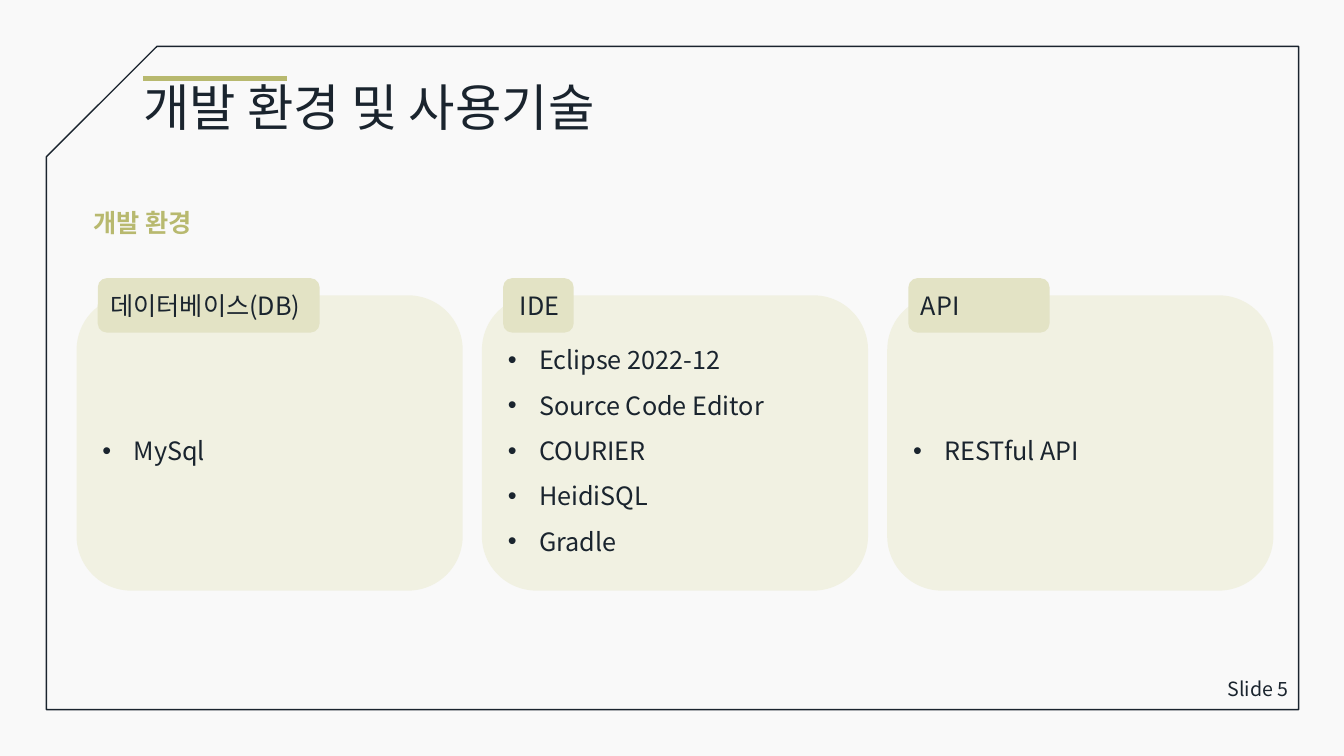
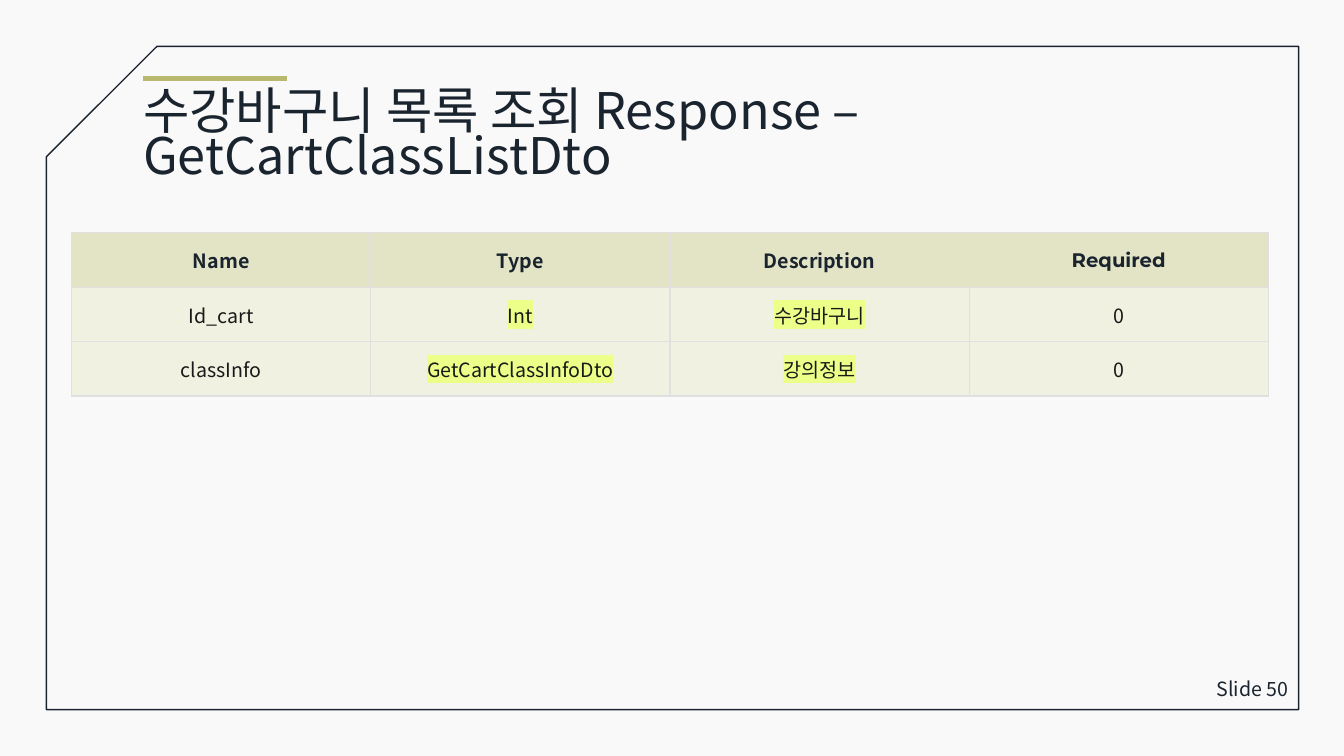
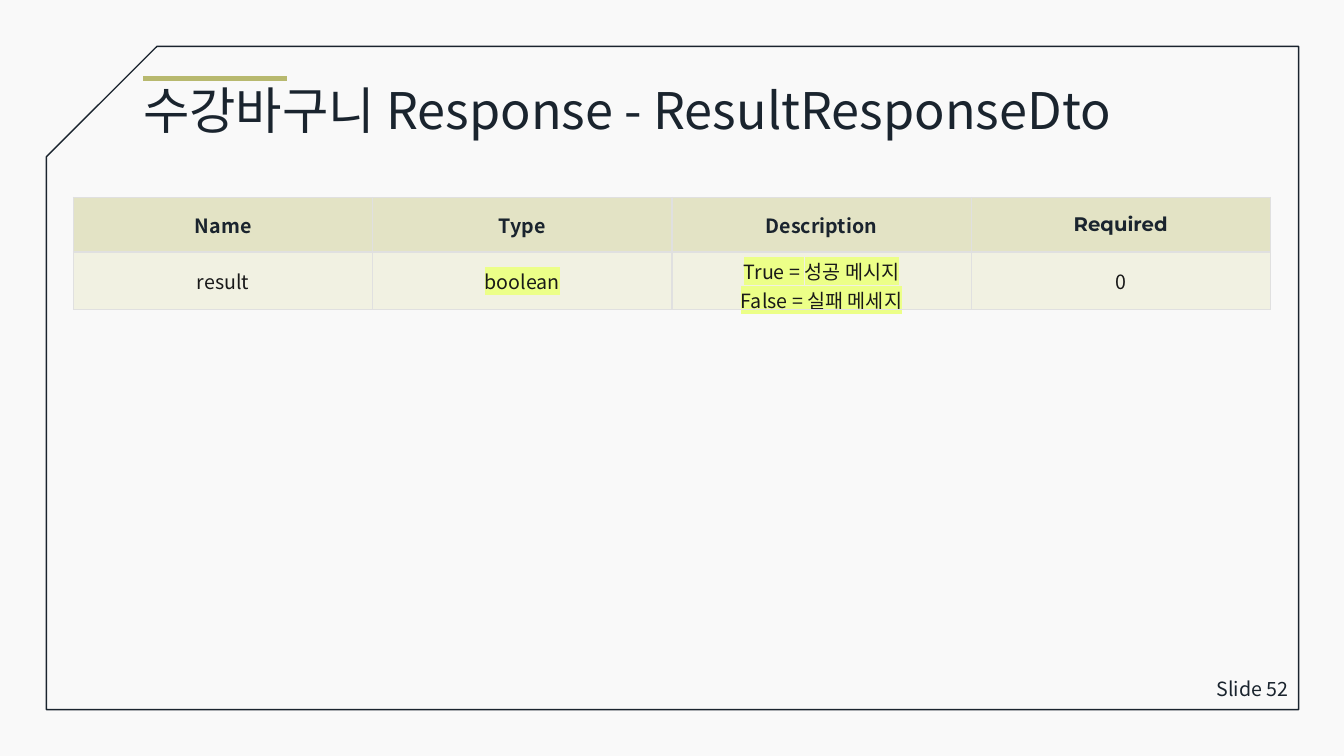
from lxml import etree
from pptx import Presentation
from pptx import util as u
from pptx.dml.color import RGBColor
from pptx.enum import shapes, text
from pptx.oxml.ns import qn

WIDTH, HEIGHT = 13.33, 7.5
FONT, HEADER_ACCENT_FONT = "Noto Sans CJK KR", "Montserrat"
PAPER, INK, BODY_INK = "F9F9F9", "1A242E", "191919"
OLIVE, TAB, PANEL = "B8B96F", "E3E3C5", "F1F1E2"
GRID, MARKER = "E0E0E0", "ECFF88"
COLUMNS = ("Name", "Type", "Description", "Required")


def color(value):
    return RGBColor.from_string(value)


def inches(*lengths):
    return [u.Inches(length) for length in lengths]


def add_child(parent, tag, **attributes):
    return etree.SubElement(parent, qn(tag), attributes)


def format_runs(paragraph, size, ink=INK, bold=False, font=FONT, highlight=None):
    for run in paragraph.runs:
        run.font.size = u.Pt(size)
        run.font.bold = bold
        run.font.color.rgb = color(ink)
        run.font.name = font
        latin = run.font._element.find(qn("a:latin"))
        east_asian = etree.Element(qn("a:ea"), typeface=font)
        latin.addnext(east_asian)
        if highlight:
            marker = etree.Element(qn("a:highlight"))
            add_child(marker, "a:srgbClr", val=highlight)
            latin.addprevious(marker)


def add_panel(slide, kind, box, fill=None):
    """Add a preset shape without shadow or outline."""
    shape = slide.shapes.add_shape(kind, *inches(*box))
    shape.shadow.inherit = False
    shape.line.fill.background()
    if fill:
        shape.fill.solid()
        shape.fill.fore_color.rgb = color(fill)
    else:
        shape.fill.background()
    return shape


def add_label(slide, box, words, size, ink=INK, bold=False,
              align=text.PP_ALIGN.LEFT):
    label = slide.shapes.add_textbox(*inches(*box))
    frame = label.text_frame
    frame.word_wrap = True
    frame.vertical_anchor = text.MSO_ANCHOR.MIDDLE
    frame.text = words
    frame.paragraphs[0].alignment = align
    format_runs(frame.paragraphs[0], size, ink, bold)


def add_page(presentation, title, number, title_box):
    """Add a slide with the shared frame, accent line, title and page number."""
    slide = presentation.slides.add_slide(presentation.slide_layouts[5])

    margin = 0.46
    border = add_panel(slide, shapes.MSO_SHAPE.SNIP_1_RECTANGLE,
                       (margin, margin, 12.42, HEIGHT - 2 * margin))
    border._element.spPr.xfrm.set("flipH", "1")
    border.line.color.rgb = color(INK)
    border.line.width = u.Pt(1)

    accent = slide.shapes.add_connector(shapes.MSO_CONNECTOR.STRAIGHT,
                                        *inches(1.42, 0.78, 2.85, 0.78))
    accent.line.color.rgb = color(OLIVE)
    accent.line.width = u.Pt(4)
    add_child(accent._element.spPr, "a:effectLst")

    heading = slide.shapes.title
    heading.left, heading.top, heading.width, heading.height = inches(*title_box)
    frame = heading.text_frame
    frame.text = title
    frame.word_wrap = True
    frame.auto_size = text.MSO_AUTO_SIZE.NONE
    frame.vertical_anchor = text.MSO_ANCHOR.TOP
    paragraph = frame.paragraphs[0]
    paragraph.alignment = text.PP_ALIGN.LEFT
    paragraph.line_spacing = 0.75
    format_runs(paragraph, 36)

    add_label(slide, (11.57, 6.63, 1.31, 0.41), f"Slide {number}", 14,
              align=text.PP_ALIGN.RIGHT)
    return slide


def add_card(slide, box, name, items, tab_width, tab_inset):
    """Add a rounded panel of bullets with a name tab over its top edge."""
    left, top, _, _ = box
    panel = add_panel(slide, shapes.MSO_SHAPE.ROUNDED_RECTANGLE, box, PANEL)
    panel.adjustments[0] = 0.185
    frame = panel.text_frame
    frame.vertical_anchor = text.MSO_ANCHOR.MIDDLE
    frame.text = "\n".join(items)
    indent = u.Inches(0.31)
    for paragraph in frame.paragraphs:
        paragraph.alignment = text.PP_ALIGN.LEFT
        paragraph.line_spacing = 1.5
        properties = paragraph._p.get_or_add_pPr()
        properties.set("marL", str(indent))
        properties.set("indent", str(-indent))
        add_child(properties, "a:buFont", typeface="Arial")
        add_child(properties, "a:buChar", char="•")
        format_runs(paragraph, 18)

    tab = add_panel(slide, shapes.MSO_SHAPE.ROUNDED_RECTANGLE,
                    (left + 0.21, top - 0.17, tab_width, 0.54), TAB)
    frame = tab.text_frame
    frame.word_wrap = False
    frame.margin_left = u.Inches(tab_inset)
    frame.margin_right = 0
    frame.vertical_anchor = text.MSO_ANCHOR.MIDDLE
    frame.text = name
    frame.paragraphs[0].alignment = text.PP_ALIGN.LEFT
    format_runs(frame.paragraphs[0], 18)


def add_cards(slide, left, top, cards):
    width, height, gap = 3.83, 2.93, 0.19
    for index, card in enumerate(cards):
        add_card(slide, (left + index * (width + gap), top, width, height), *card)


def format_cell(cell, words, fill, **style):
    properties = cell._tc.get_or_add_tcPr()
    for side in ("a:lnL", "a:lnR", "a:lnT", "a:lnB"):
        line = add_child(properties, side, w=str(u.Pt(1)))
        add_child(add_child(line, "a:solidFill"), "a:srgbClr", val=GRID)
    cell.fill.solid()
    cell.fill.fore_color.rgb = color(fill)
    cell.vertical_anchor = text.MSO_ANCHOR.MIDDLE
    cell.text_frame.text = words
    for paragraph in cell.text_frame.paragraphs:
        paragraph.alignment = text.PP_ALIGN.CENTER
        format_runs(paragraph, 14, **style)


def add_field_table(slide, left, top, fields, field_height=0.54):
    """Add a table of response fields; type and description are highlighted."""
    header_height = 0.54
    height = header_height + len(fields) * field_height
    table = slide.shapes.add_table(len(fields) + 1, len(COLUMNS),
                                   *inches(left, top, 11.87, height)).table
    table.horz_banding = False
    for index, row in enumerate(table.rows):
        row.height = u.Inches(field_height if index else header_height)
    for column, name in enumerate(COLUMNS):
        font = HEADER_ACCENT_FONT if name == "Required" else FONT
        format_cell(table.cell(0, column), name, TAB, bold=True, font=font)
        marker = MARKER if name in ("Type", "Description") else None
        for row, field in enumerate(fields, start=1):
            format_cell(table.cell(row, column), field[column], PANEL,
                        ink=BODY_INK, highlight=marker)


def main():
    presentation = Presentation()
    presentation.slide_width, presentation.slide_height = inches(WIDTH, HEIGHT)
    background = presentation.slide_master.background.fill
    background.solid()
    background.fore_color.rgb = color(PAPER)

    environment = add_page(presentation, "개발 환경 및 사용기술", 5,
                           (1.32, 0.84, 11.56, 1.32))
    add_label(environment, (0.83, 2.01, 1.6, 0.4), "개발 환경", 18, OLIVE, True)
    add_cards(environment, 0.76, 2.93, [
        ("데이터베이스(DB)", ["MySql"], 2.2, 0.1),
        ("IDE", ["Eclipse 2022-12", "Source Code Editor", "COURIER",
                 "HeidiSQL", "Gradle"], 0.7, 0.14),
        ("API", ["RESTful API"], 1.4, 0.1),
    ])

    response_title = (1.32, 0.87, 11.56, 0.7)
    cart_list = add_page(presentation,
                         "수강바구니 목록 조회 Response – GetCartClassListDto",
                         50, response_title)
    add_field_table(cart_list, 0.71, 2.31, [
        ("Id_cart", "Int", "수강바구니", "0"),
        ("classInfo", "GetCartClassInfoDto", "강의정보", "0"),
    ])

    result = add_page(presentation, "수강바구니 Response - ResultResponseDto",
                      52, response_title)
    add_field_table(result, 0.73, 1.96, [
        ("result", "boolean", "True = 성공 메시지\nFalse = 실패 메세지", "0"),
    ], field_height=0.57)

    presentation.save("out.pptx")


if __name__ == "__main__":
    main()
